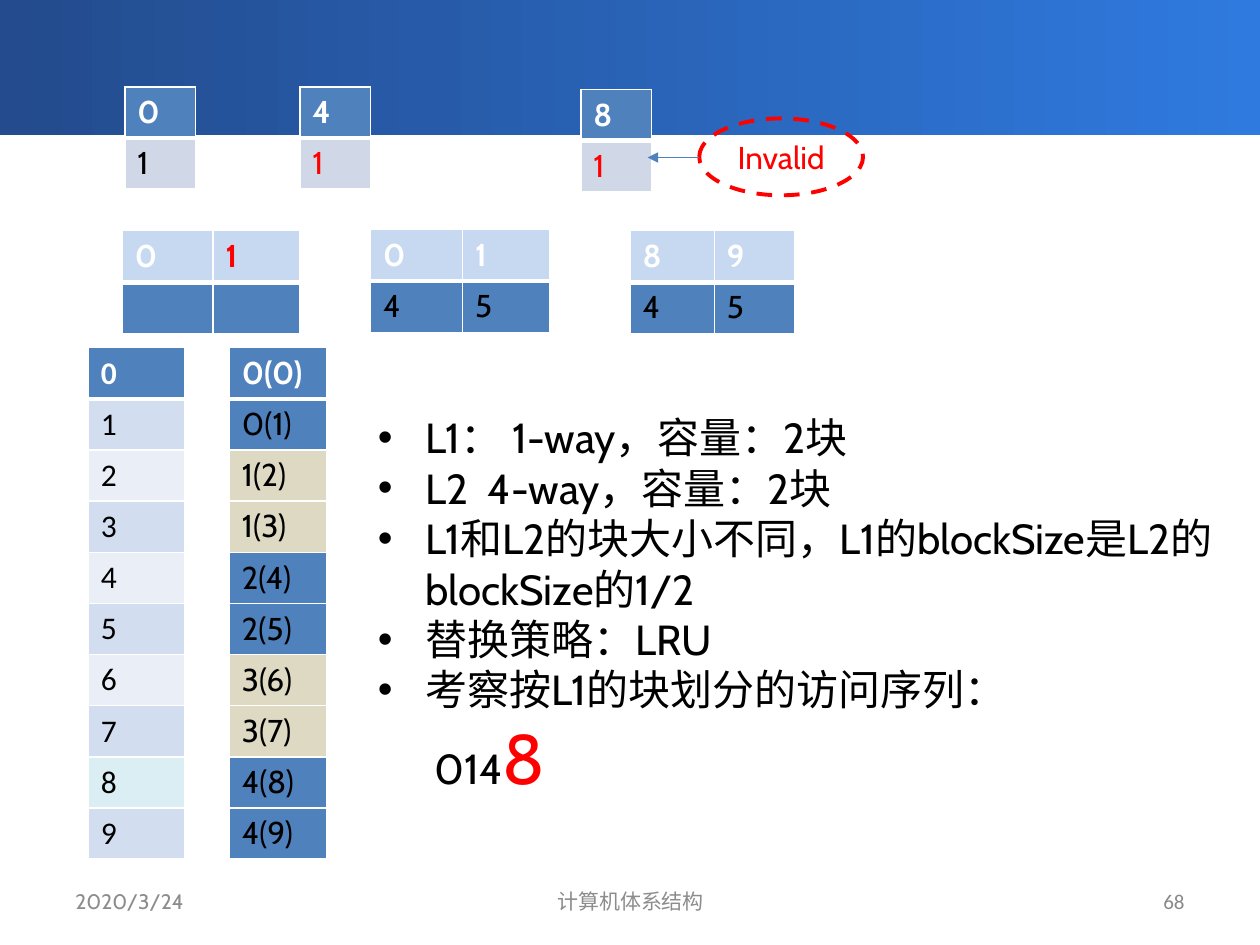
from lxml import etree
from pptx import Presentation
from pptx.dml.color import RGBColor
from pptx.enum.dml import MSO_LINE
from pptx.enum.shapes import MSO_CONNECTOR, MSO_SHAPE
from pptx.enum.text import MSO_ANCHOR, PP_ALIGN
from pptx.oxml.ns import qn
from pptx.util import Inches, Pt

RECTANGLE, OVAL = MSO_SHAPE.RECTANGLE, MSO_SHAPE.OVAL
STRAIGHT, DASH = MSO_CONNECTOR.STRAIGHT, MSO_LINE.DASH
LEFT, CENTER, RIGHT = PP_ALIGN.LEFT, PP_ALIGN.CENTER, PP_ALIGN.RIGHT
MIDDLE = MSO_ANCHOR.MIDDLE

COLORS = {
    "navy": "234B8D", "azure": "2F7ADF", "blue": "4F81BD", "sky": "C6D9F1",
    "mist": "D0D8E8", "odd": "D2DEEF", "even": "EAEFF7", "aqua": "DBEEF4",
    "sand": "DDD9C3", "white": "FFFFFF", "black": "000000", "red": "FF0000",
    "footer": "8C8C8C", "number": "898989",
}
NOTES = [
    "L1： 1-way，容量：2块",
    "L2  4-way，容量：2块",
    "L1和L2的块大小不同，L1的blockSize是L2的blockSize的1/2",
    "替换策略：LRU",
    "考察按L1的块划分的访问序列：",
]


def rgb(name):
    return RGBColor.from_string(COLORS[name])


def style_font(font, size, color, name="Cabin", bold=False):
    font.size = Pt(size)
    font.name = name
    font.bold = bold
    font.color.rgb = rgb(color)


def add_band(page):
    band = page.shapes.add_shape(RECTANGLE, 0, 0, Inches(10), Inches(1.07))
    band.shadow.inherit = False
    band.line.fill.background()
    band.fill.gradient()
    band.fill.gradient_angle = 0
    for stop, color, position in zip(band.fill.gradient_stops, ("navy", "azure"), (0, 1)):
        stop.color.rgb = rgb(color)
        stop.position = position


def set_borders(cell, row):
    properties = cell._tc.get_or_add_tcPr()
    top, bottom = (3 if row == 1 else 1), (3 if row == 0 else 1)
    for tag, width in (("a:lnL", 1), ("a:lnR", 1), ("a:lnT", top), ("a:lnB", bottom)):
        line = etree.SubElement(properties, qn(tag), w=str(Pt(width)))
        fill = etree.SubElement(line, qn("a:solidFill"))
        etree.SubElement(fill, qn("a:srgbClr"), val=COLORS["white"])


def add_grid(page, left, top, widths, row_height, rows, fills, red_cells=(), font="Cabin"):
    frame = page.shapes.add_table(
        len(rows), len(widths), Inches(left), Inches(top),
        Inches(sum(widths)), Inches(row_height * len(rows)))
    table = frame.table
    for column, width in zip(table.columns, widths):
        column.width = Inches(width)
    for row, values in enumerate(rows):
        table.rows[row].height = Inches(row_height)
        for column, value in enumerate(values):
            cell = table.cell(row, column)
            set_borders(cell, row)
            cell.fill.solid()
            cell.fill.fore_color.rgb = rgb(fills[row])
            cell.text_frame.text = value
            color = "white" if row == 0 else "black"
            if (row, column) in red_cells:
                color = "red"
            style_font(cell.text_frame.paragraphs[0].font, 18, color, font, row == 0)


def add_footer(page, left, width, text, align, color="footer", font="Cabin"):
    box = page.shapes.add_textbox(Inches(left), Inches(6.95), Inches(width), Inches(0.4))
    box.text_frame.word_wrap = True
    box.text_frame.vertical_anchor = MIDDLE
    box.text_frame.text = text
    para = box.text_frame.paragraphs[0]
    para.alignment = align
    style_font(para.runs[0].font, 12, color, font)


def add_notes(page):
    box = page.shapes.add_textbox(Inches(2.9), Inches(3.22), Inches(6.99), Inches(3.6))
    text_frame = box.text_frame
    text_frame.word_wrap = True
    for index, note in enumerate(NOTES):
        para = text_frame.paragraphs[0] if index == 0 else text_frame.add_paragraph()
        para.text = note
        properties = para._p.get_or_add_pPr()
        properties.set("marL", str(Inches(0.38)))
        properties.set("indent", str(-Inches(0.38)))
        etree.SubElement(properties, qn("a:buFont"), typeface="Arial")
        etree.SubElement(properties, qn("a:buChar"), char="•")
        style_font(para.runs[0].font, 24, "black")
    sequence = text_frame.add_paragraph()
    sequence._p.get_or_add_pPr().set("marL", str(Inches(0.45)))
    for text, size, color in (("014", 24, "black"), ("8", 40, "red")):
        span = sequence.add_run()
        span.text = text
        style_font(span.font, size, color)


def add_callout(page):
    oval = page.shapes.add_shape(OVAL, Inches(5.55), Inches(0.94), Inches(1.3), Inches(0.61))
    oval.shadow.inherit = False
    oval.fill.background()
    oval.line.color.rgb = rgb("red")
    oval.line.width = Pt(2.25)
    oval.line.dash_style = DASH
    oval.text_frame.vertical_anchor = MIDDLE
    oval.text_frame.text = "Invalid"
    para = oval.text_frame.paragraphs[0]
    para.alignment = CENTER
    style_font(para.runs[0].font, 18, "red")


def add_arrow(page):
    arrow = page.shapes.add_connector(
        STRAIGHT, Inches(5.55), Inches(1.25), Inches(5.14), Inches(1.25))
    arrow.line.color.rgb = rgb("blue")
    arrow.line.width = Pt(1)
    etree.SubElement(arrow.line._get_or_add_ln(), qn("a:tailEnd"), type="triangle")
    etree.SubElement(arrow._element.spPr, qn("a:effectLst"))


def main():
    deck = Presentation()
    deck.slide_width, deck.slide_height = Inches(10), Inches(7.5)
    page = deck.slides.add_slide(deck.slide_layouts[6])
    add_band(page)

    for left, top, block, red_cells in (
            (0.99, 0.69, "0", ()), (2.38, 0.69, "4", [(1, 0)]), (4.61, 0.71, "8", [(1, 0)])):
        add_grid(page, left, top, [0.56], 0.4, [[block], ["1"]], ["blue", "mist"], red_cells)

    for left, top, widths, rows, red_cells in (
            (0.97, 1.83, [0.72, 0.69], ["01", ["", ""]], [(0, 1)]),
            (2.94, 1.82, [0.73, 0.69], ["01", "45"], ()),
            (5, 1.83, [0.67, 0.64], ["89", "45"], ())):
        add_grid(page, left, top, widths, 0.41, rows, ["sky", "blue"], red_cells)

    memory_fills = ["blue"] + ["odd" if block % 2 else "even" for block in range(1, 10)]
    memory_fills[8] = "aqua"
    add_grid(page, 0.7, 2.76, [0.77], 0.406, [[str(block)] for block in range(10)],
             memory_fills, font="Calibri")
    add_grid(page, 1.82, 2.76, [0.77], 0.406,
             [[f"{block // 2}({block})"] for block in range(10)],
             ["sand" if block // 2 % 2 else "blue" for block in range(10)])

    add_notes(page)
    add_callout(page)
    add_arrow(page)
    add_footer(page, 0.5, 2.33, "2020/3/24", LEFT)
    add_footer(page, 3.42, 3.17, "计算机体系结构", CENTER)
    add_footer(page, 7.17, 2.33, "68", RIGHT, "number", "Calibri")
    deck.save("out.pptx")


if __name__ == "__main__":
    main()
